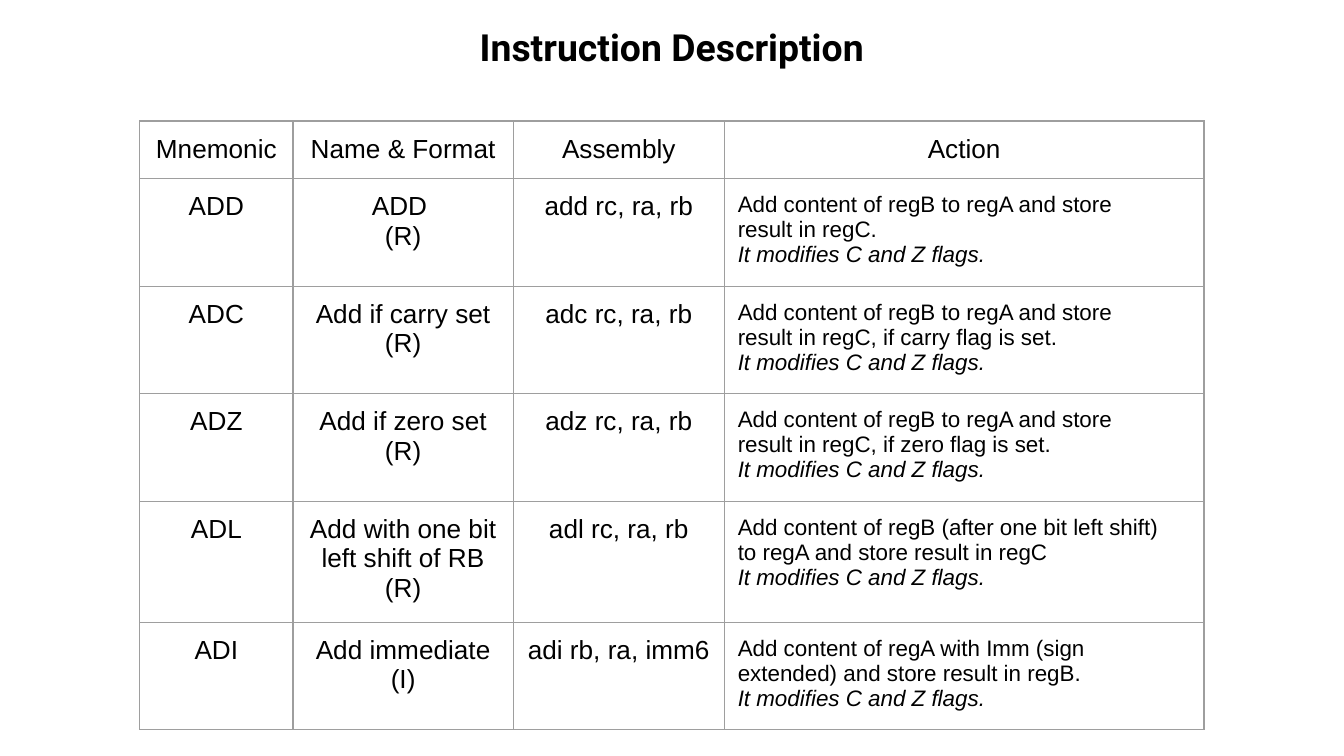
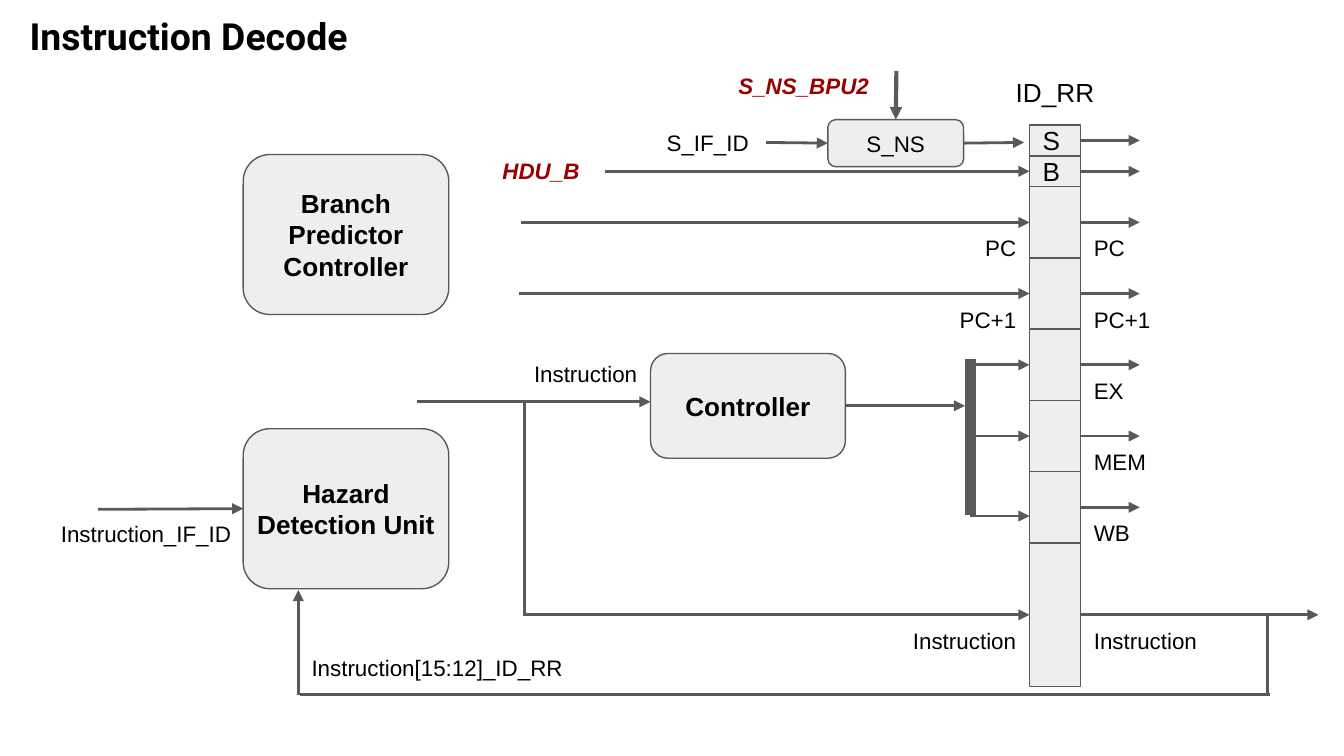
from itertools import accumulate

from lxml.etree import SubElement
from pptx import Presentation
from pptx.dml.color import RGBColor
from pptx.enum.shapes import MSO_CONNECTOR, MSO_SHAPE
from pptx.enum.text import MSO_ANCHOR, MSO_AUTO_SIZE, PP_ALIGN
from pptx.oxml.ns import qn
from pptx.util import Inches, Pt

WIDTH = 10
HEIGHT = WIDTH * 9 / 16
BLACK, GREY, PALE, RED, RULE = "000000", "595959", "EEEEEE", "980000", "9E9E9E"
BODY, HEADING = "Arial", "Roboto"
LEFT, CENTER, RIGHT = PP_ALIGN.LEFT, PP_ALIGN.CENTER, PP_ALIGN.RIGHT
TOP_SIDE, LEFT_SIDE, RIGHT_SIDE = 0, 1, 3

HEADERS = ["Mnemonic", "Name & Format", "Assembly", "Action"]
FLAGS = "It modifies C and Z flags."
STORE = "Add content of regB to regA and store"
INSTRUCTIONS = [
    ("ADD", ["ADD ", "(R)"], "add rc, ra, rb", [STORE, "result in regC."]),
    ("ADC", ["Add if carry set (R)"], "adc rc, ra, rb",
     [STORE, "result in regC, if carry flag is set."]),
    ("ADZ", ["Add if zero set (R)"], "adz rc, ra, rb",
     [STORE, "result in regC, if zero flag is set."]),
    ("ADL", ["Add with one bit left shift of RB", "(R)"], "adl rc, ra, rb",
     ["Add content of regB (after one bit left shift)",
      "to regA and store result in regC"]),
    ("ADI", ["Add immediate", "(I)"], "adi rb, ra, imm6",
     ["Add content of regA with Imm (sign", "extended) and store result in regB."]),
]
COLUMN_WIDTHS = [1.14, 1.64, 1.57, 3.57]
ROW_HEIGHTS = [0.43, 0.8, 0.8, 0.8, 0.9, 0.8]

REGISTER_LEFT, REGISTER_TOP, REGISTER_WIDTH = 7.66, 0.93, 0.38
REGISTER_RIGHT = REGISTER_LEFT + REGISTER_WIDTH
OUTPUT_END, BUS = 8.48, 7.22
FIELDS = [
    # inside, height, input start, input label, output end, output label
    ("S", 0.23, None, "", OUTPUT_END, ""),
    ("B", 0.23, 4.5, "", OUTPUT_END, ""),
    ("", 0.53, 3.88, "PC", OUTPUT_END, "PC"),
    ("", 0.53, 3.86, "PC+1", OUTPUT_END, "PC+1"),
    ("", 0.53, BUS, "", OUTPUT_END, "EX"),
    ("", 0.53, BUS, "", OUTPUT_END, "MEM"),
    ("", 0.53, None, "", OUTPUT_END, "WB"),
    ("", 1.07, 3.89, "Instruction", 9.81, "Instruction"),
]
UNITS = {
    "Branch Predictor Controller": (MSO_SHAPE.ROUNDED_RECTANGLE, 1.81, 1.15, 1.53, 1.19, 14, True),
    "Hazard Detection Unit": (MSO_SHAPE.ROUNDED_RECTANGLE, 1.81, 3.19, 1.53, 1.19, 14, True),
    "Controller": (MSO_SHAPE.FLOWCHART_ALTERNATE_PROCESS, 4.84, 2.63, 1.45, 0.78, 14, True),
    "S_NS": (MSO_SHAPE.ROUNDED_RECTANGLE, 6.16, 0.89, 1.01, 0.35, 12, False),
}
SIGNALS = [
    ("Instruction", 3.79, 2.58, 1.05, RIGHT),
    ("S_IF_ID", 4.43, 0.86, 1.24, RIGHT),
    ("Instruction[15:12]_ID_RR", 2.22, 4.77, 2.4, LEFT),
    ("Instruction_IF_ID", 0.19, 3.77, 1.63, RIGHT),
]
CONTROL_SIGNALS = [
    ("S_NS_BPU2", 5.32, 0.44, 1.32, CENTER),
    ("HDU_B", 3.64, 1.07, 0.86, LEFT),
]
WIRES = [
    ((3.1, 2.99), (3.9, 2.99), 1.5, False),
    ((3.9, 2.99), (4.84, 2.99), 1.5, True),
    ((3.9, 2.99), (3.9, 4.58), 1.5, False),
    ((BUS, 3.83), (BUS, 2.67), 6, False),
    ((BUS, 3.84), (REGISTER_LEFT, 3.84), 1.5, True),
    ((9.43, 4.58), (9.43, 5.18), 1.5, False),
    ((9.45, 5.17), (2.23, 5.17), 1.5, False),
    ((2.22, 5.17), (2.22, 4.39), 1.5, True),
]


def color(value):
    return RGBColor.from_string(value)


def write(frame, lines, size, align=LEFT, ink=BLACK, font=BODY, bold=False, italics=()):
    for index, line in enumerate(lines):
        paragraph = frame.paragraphs[0] if index == 0 else frame.add_paragraph()
        paragraph.alignment = align
        run = paragraph.add_run()
        run.text = line
        run.font.name = font
        run.font.size = Pt(size)
        run.font.bold = bold
        run.font.italic = line in italics
        run.font.color.rgb = color(ink)


def set_margins(frame, side, end):
    frame.margin_left = frame.margin_right = Inches(side)
    frame.margin_top = frame.margin_bottom = Inches(end)


def add_titled_slide(deck, heading, left, top, width):
    slide = deck.slides.add_slide(deck.slide_layouts[5])
    title = slide.shapes.title
    title.left, title.top = Inches(left), Inches(top)
    title.width, title.height = Inches(width), Inches(0.54)
    frame = title.text_frame
    set_margins(frame, 0.1, 0.1)
    frame.word_wrap = True
    frame.auto_size = MSO_AUTO_SIZE.NONE
    frame.vertical_anchor = MSO_ANCHOR.TOP
    write(frame, [heading], 20, CENTER, font=HEADING, bold=True)
    return slide


def add_label(slide, words, left, top, width, align=LEFT, size=12, ink=BLACK, strong=False):
    height = 0.2 + size * 0.017
    label = slide.shapes.add_textbox(Inches(left), Inches(top), Inches(width), Inches(height))
    frame = label.text_frame
    set_margins(frame, 0.1, 0.1)
    frame.word_wrap = True
    frame.auto_size = MSO_AUTO_SIZE.SHAPE_TO_FIT_TEXT
    write(frame, [words], size, align, ink, bold=strong, italics=[words] if strong else ())


def add_box(slide, kind, left, top, width, height, words="", size=14, bold=False,
            align=CENTER, inset=0):
    box = slide.shapes.add_shape(kind, Inches(left), Inches(top), Inches(width), Inches(height))
    box.shadow.inherit = False
    box.fill.solid()
    box.fill.fore_color.rgb = color(PALE)
    box.line.color.rgb = color(GREY)
    box.line.width = Pt(0.75)
    if words:
        frame = box.text_frame
        set_margins(frame, inset, 0)
        frame.word_wrap = True
        frame.vertical_anchor = MSO_ANCHOR.MIDDLE
        write(frame, [words], size, align, bold=bold)
    return box


def add_wire(slide, start, end, weight=1.5, arrow=True, source=None, target=None):
    points = [Inches(value) for value in (*start, *end)]
    wire = slide.shapes.add_connector(MSO_CONNECTOR.STRAIGHT, *points)
    wire.line.color.rgb = color(GREY)
    wire.line.width = Pt(weight)
    if arrow:
        SubElement(wire.line._get_or_add_ln(), qn("a:tailEnd"), type="triangle")
    SubElement(wire._element.spPr, qn("a:effectLst"))
    if source:
        wire.begin_connect(*source)
    if target:
        wire.end_connect(*target)


def rule_cell(cell):
    properties = cell._tc.get_or_add_tcPr()
    for index, side in enumerate(("a:lnL", "a:lnR", "a:lnT", "a:lnB")):
        edge = properties.makeelement(qn(side), {"w": str(Pt(0.75))})
        SubElement(SubElement(edge, qn("a:solidFill")), qn("a:srgbClr"), val=RULE)
        properties.insert(index, edge)


def build_description(deck):
    margin = 0.98
    slide = add_titled_slide(deck, "Instruction Description", margin, 0.08, WIDTH - 2 * margin)
    width, height = sum(COLUMN_WIDTHS), sum(ROW_HEIGHTS)
    table = slide.shapes.add_table(
        len(ROW_HEIGHTS), len(COLUMN_WIDTHS), Inches((WIDTH - width) / 2), Inches(0.9),
        Inches(width), Inches(height)).table
    table.first_row = table.horz_banding = False
    for column, share in zip(table.columns, COLUMN_WIDTHS):
        column.width = Inches(share)
    for row, share in zip(table.rows, ROW_HEIGHTS):
        row.height = Inches(share)

    content = [[[header] for header in HEADERS]]
    content += [[[mnemonic], name, [assembly], action + [FLAGS]]
                for mnemonic, name, assembly, action in INSTRUCTIONS]
    for row_index, entries in enumerate(content):
        for column_index, lines in enumerate(entries):
            cell = table.cell(row_index, column_index)
            set_margins(cell, 0.1, 0.1)
            cell.fill.background()
            rule_cell(cell)
            is_action = row_index > 0 and column_index == 3
            write(cell.text_frame, lines, 12 if is_action else 14,
                  LEFT if is_action else CENTER, italics=[FLAGS])


def build_register(slide):
    heights = [field[1] for field in FIELDS]
    tops = accumulate(heights[:-1], initial=REGISTER_TOP)
    for top, (inside, height, start, incoming, end, outgoing) in zip(tops, FIELDS):
        middle = top + height / 2
        label_top = middle - 0.01
        box = add_box(slide, MSO_SHAPE.RECTANGLE, REGISTER_LEFT, top, REGISTER_WIDTH, height,
                      inside, align=LEFT, inset=0.1)
        add_wire(slide, (REGISTER_RIGHT, middle), (end, middle), source=(box, RIGHT_SIDE))
        if start:
            add_wire(slide, (start, middle), (REGISTER_LEFT, middle), target=(box, LEFT_SIDE))
        if incoming:
            add_label(slide, incoming, REGISTER_LEFT - 1.05, label_top, 1.05, RIGHT)
        if outgoing:
            add_label(slide, outgoing, REGISTER_RIGHT, label_top, 1.05)


def build_decode(deck):
    slide = add_titled_slide(deck, "Instruction Decode", 0, 0, 2.81)
    build_register(slide)
    add_label(slide, "ID_RR", 7.41, 0.47, 0.88, CENTER, 14)
    units = {}
    for words, (kind, left, top, width, height, size, bold) in UNITS.items():
        units[words] = add_box(slide, kind, left, top, width, height, words, size, bold)
    for start, end, weight, arrow in WIRES:
        add_wire(slide, start, end, weight, arrow)

    stage = units["S_NS"]
    add_wire(slide, (6.67, 0.53), (6.67, 0.89), 2.25, target=(stage, TOP_SIDE))
    add_wire(slide, (5.7, 1.06), (6.16, 1.06), target=(stage, LEFT_SIDE))
    add_wire(slide, (7.17, 1.06), (7.62, 1.06), source=(stage, RIGHT_SIDE))
    add_wire(slide, (6.29, 3.02), (7.18, 3.02), source=(units["Controller"], RIGHT_SIDE))
    add_wire(slide, (0.73, 3.79), (1.81, 3.79),
             target=(units["Hazard Detection Unit"], LEFT_SIDE))

    for signal in SIGNALS:
        add_label(slide, *signal)
    for signal in CONTROL_SIGNALS:
        add_label(slide, *signal, ink=RED, strong=True)


def main():
    deck = Presentation()
    deck.slide_width, deck.slide_height = Inches(WIDTH), Inches(HEIGHT)
    build_description(deck)
    build_decode(deck)
    deck.save("out.pptx")


if __name__ == "__main__":
    main()
